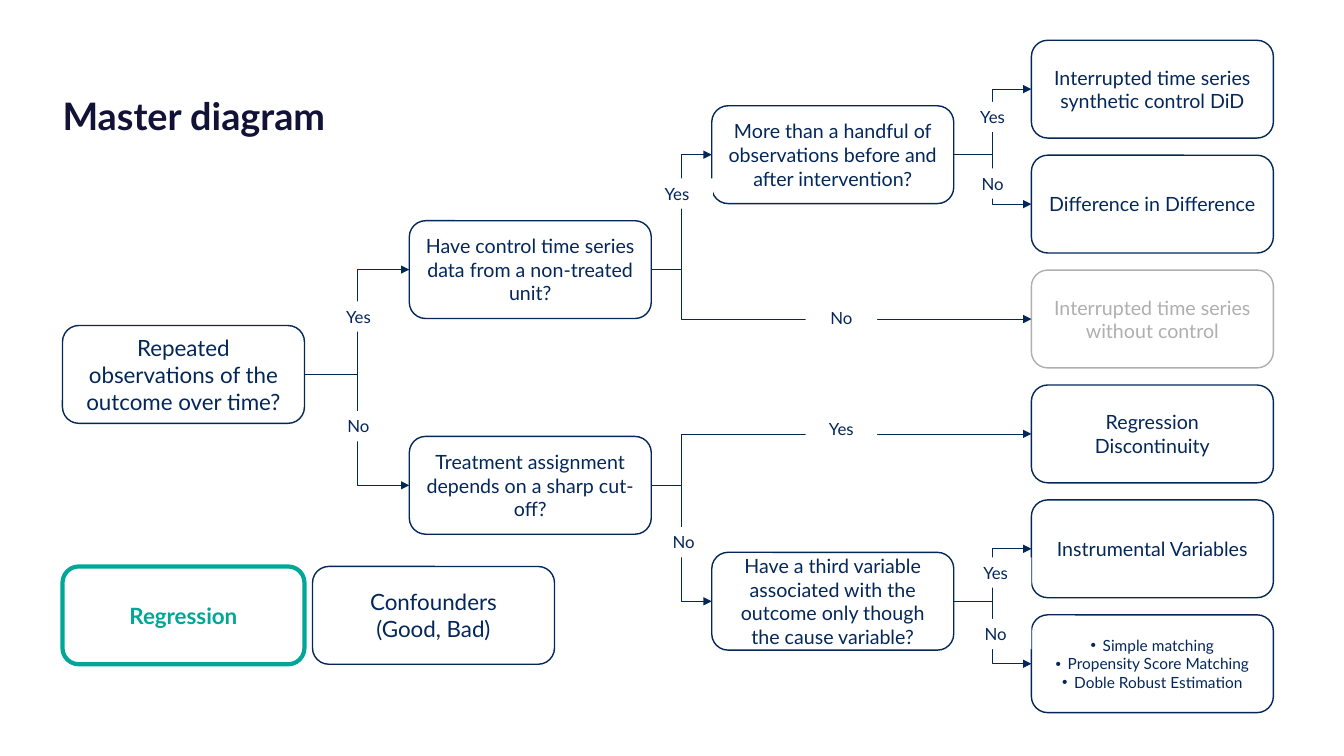
from lxml.etree import SubElement
from pptx import Presentation
from pptx.dml.color import RGBColor
from pptx.enum.shapes import MSO_CONNECTOR, MSO_SHAPE
from pptx.enum.text import MSO_ANCHOR, MSO_AUTO_SIZE, PP_ALIGN
from pptx.oxml.ns import qn
from pptx.util import Inches, Pt

NAVY = RGBColor(0x04, 0x27, 0x59)
INK = RGBColor(0x11, 0x12, 0x36)
TEAL = RGBColor(0x00, 0xA6, 0x98)
GREY = RGBColor(0xAF, 0xAF, 0xAF)
WHITE = RGBColor(0xFF, 0xFF, 0xFF)

RIGHT, LEFT = 3, 1
OUTCOME_X, OUTCOME_TOP, OUTCOME_STEP = 10.23, 0.4, 1.14


def write_text(tf, text, size=14, color=NAVY, bold=False,
               align=PP_ALIGN.CENTER, bullet=False, spacing=None):
    tf.word_wrap = True
    for i, line in enumerate(text.split("\n")):
        p = tf.add_paragraph() if i else tf.paragraphs[0]
        p.alignment = align
        if spacing:
            p.line_spacing = spacing
        if bullet:
            pPr = p._p.get_or_add_pPr()
            pPr.set("marL", str(Inches(0.12)))
            pPr.set("indent", str(Inches(-0.12)))
            SubElement(pPr, qn("a:buFont")).set("typeface", "Arial")
            SubElement(pPr, qn("a:buChar")).set("char", "•")
        r = p.add_run()
        r.text = line
        r.font.name = "Lato"
        r.font.size = Pt(size)
        r.font.bold = bold
        r.font.color.rgb = color


class Diagram:
    box_width, box_height = 2.4, 0.97
    label_height = 0.3

    def __init__(self, slide):
        self.shapes = slide.shapes

    def title(self, text, x, y, width, height):
        tf = self.shapes.add_textbox(
            Inches(x), Inches(y), Inches(width), Inches(height)).text_frame
        tf.margin_left = tf.margin_right = tf.margin_top = tf.margin_bottom = 0
        tf.auto_size = MSO_AUTO_SIZE.SHAPE_TO_FIT_TEXT
        write_text(tf, text, size=27, color=INK, bold=True,
                   align=PP_ALIGN.LEFT, spacing=1.08)

    def box(self, text, x, y, color=NAVY, line_width=1, **fmt):
        sp = self.shapes.add_shape(
            MSO_SHAPE.ROUNDED_RECTANGLE, Inches(x), Inches(y),
            Inches(self.box_width), Inches(self.box_height))
        sp.shadow.inherit = False
        sp.fill.background()
        sp.line.color.rgb = color
        sp.line.width = Pt(line_width)
        sp.text_frame.vertical_anchor = MSO_ANCHOR.MIDDLE
        write_text(sp.text_frame, text, color=color, **fmt)
        return sp

    def arrow(self, source, target, bend=None):
        cxn = self.shapes.add_connector(MSO_CONNECTOR.ELBOW, 0, 0, 0, 0)
        cxn.begin_connect(source, RIGHT)
        cxn.end_connect(target, LEFT)
        cxn.line.color.rgb = NAVY
        cxn.line.width = Pt(0.5)
        spPr = cxn._element.spPr
        SubElement(spPr.find(qn("a:ln")), qn("a:tailEnd")).set("type", "triangle")
        SubElement(spPr, qn("a:effectLst"))
        if bend is not None:
            gd = SubElement(spPr.find(qn("a:prstGeom")).find(qn("a:avLst")), qn("a:gd"))
            gd.set("name", "adj1")
            gd.set("fmla", f"val {round(bend * 100000)}")

    def label(self, text, x, y, width=0.71):
        sp = self.shapes.add_shape(
            MSO_SHAPE.RECTANGLE, Inches(x), Inches(y),
            Inches(width), Inches(self.label_height))
        sp.shadow.inherit = False
        sp.fill.solid()
        sp.fill.fore_color.rgb = WHITE
        sp.line.fill.background()
        sp.text_frame.vertical_anchor = MSO_ANCHOR.TOP
        sp.text_frame.auto_size = MSO_AUTO_SIZE.SHAPE_TO_FIT_TEXT
        write_text(sp.text_frame, text, size=12)


def main():
    prs = Presentation()
    prs.slide_width, prs.slide_height = Inches(13.33), Inches(7.5)
    s = prs.slides.add_slide(prs.slide_layouts[6])
    d = Diagram(s)

    d.title("Master diagram", 0.62, 0.88, 7.28, 0.44)

    repeated = d.box("Repeated observations of the outcome over time?", 0.62, 3.23, size=16)
    control = d.box("Have control time series data from a non-treated unit?", 4.06, 2.19)
    cutoff = d.box("Treatment assignment depends on a sharp cut-off?", 4.06, 4.33)
    handful = d.box("More than a handful of observations before and after intervention?",
                    7.06, 1.05)
    third = d.box("Have a third variable associated with the outcome only though "
                  "the cause variable?", 7.06, 5.48)

    outcomes = [
        ("Interrupted time series synthetic control DiD", {}),
        ("Difference in Difference", {}),
        ("Interrupted time series without control", {"color": GREY}),
        ("Regression Discontinuity", {}),
        ("Instrumental Variables", {}),
        ("Simple matching\nPropensity Score Matching\nDoble Robust Estimation",
         {"size": 11, "bullet": True}),
    ]
    synthetic, difference, no_control, discontinuity, instrumental, matching = [
        d.box(text, OUTCOME_X, OUTCOME_TOP + i * OUTCOME_STEP, **fmt)
        for i, (text, fmt) in enumerate(outcomes)]

    d.box("Regression", 0.62, 5.62, color=TEAL, line_width=3, size=16, bold=True)
    d.box("Confounders\n(Good, Bad)", 3.1, 5.62, size=16)

    for source, target, bend in [
        (repeated, control, None), (repeated, cutoff, None),
        (control, handful, None), (control, no_control, 0.08),
        (cutoff, discontinuity, 0.08), (cutoff, third, None),
        (handful, synthetic, None), (handful, difference, None),
        (third, instrumental, None), (third, matching, None),
    ]:
        d.arrow(source, target, bend)

    for x, y in [(9.49, 1.01), (6.36, 1.77), (3.2, 2.99), (7.99, 4.11), (9.52, 5.53)]:
        d.label("Yes", x, y)
    for x, y in [(9.49, 1.67), (7.99, 3), (9.52, 6.14), (3.2, 4.08)]:
        d.label("No", x, y)
    d.label("No", 6.49, 5.23, width=0.58)

    prs.save("out.pptx")


if __name__ == "__main__":
    main()
